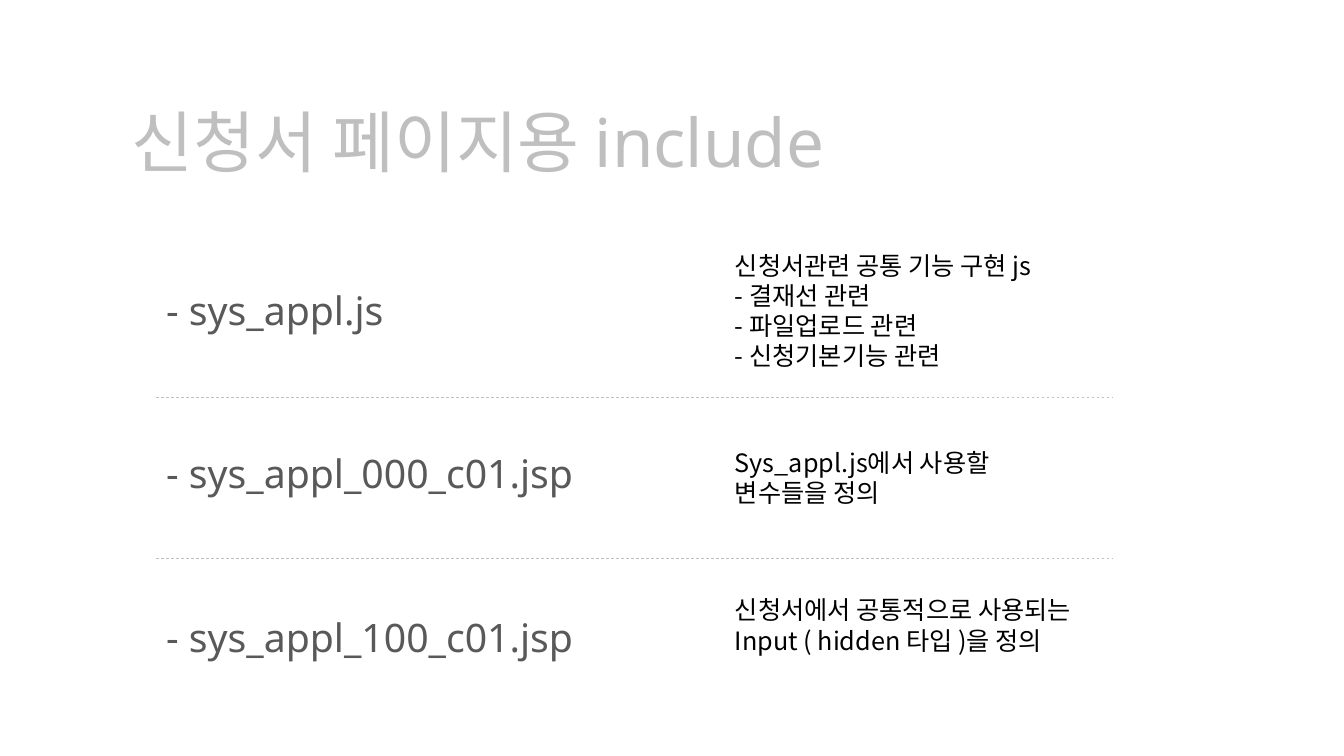
import pptx
import pptx.util
import pptx.dml.color
import pptx.enum.dml
import pptx.enum.shapes
import pptx.enum.text
import pptx.oxml
import pptx.oxml.ns
from dataclasses import dataclass
from pptx.util import Inches


@dataclass
class Theme:
    latin: str = "Noto Sans"
    korean: str = "Noto Sans CJK KR"
    title_color: str = "BFBFBF"
    file_color: str = "595959"
    description_color: str = "000000"
    divider_color: str = "BFBFBF"
    title_size: int = 48
    file_size: int = 28
    description_size: int = 18
    heading_spacing: float = 1.28
    description_spacing: float = 1.2


theme = Theme()
presentation = pptx.Presentation()
presentation.slide_width = Inches(13.33)
presentation.slide_height = Inches(7.5)
slide = presentation.slides.add_slide(presentation.slide_layouts[6])


def add_text(left, top, width, height, text, font_name, size, color, spacing):
    shape = slide.shapes.add_textbox(Inches(left), Inches(top), Inches(width), Inches(height))
    text_frame = shape.text_frame
    text_frame.word_wrap = False
    text_frame.auto_size = pptx.enum.text.MSO_AUTO_SIZE.SHAPE_TO_FIT_TEXT
    text_frame.text = text
    for paragraph in text_frame.paragraphs:
        paragraph.line_spacing = pptx.util.Pt(size * spacing)
        for run in paragraph.runs:
            run.font.name = font_name
            run.font.size = pptx.util.Pt(size)
            run.font.color.rgb = pptx.dml.color.RGBColor.from_string(color)
            east_asian = pptx.oxml.parse_xml(
                f'<a:ea {pptx.oxml.ns.nsdecls("a")} typeface="{theme.korean}"/>'
            )
            run.font._element.append(east_asian)


file_left, description_left = 1.55, 7.19
files = [
    (2.76, 2.45, "- sys_appl.js", 2.43, 3.6, 1.31,
     "신청서관련 공통 기능 구현 js \v- 결재선 관련\v- 파일업로드 관련\n- 신청기본기능 관련"),
    (4.38, 4.42, "- sys_appl_000_c01.jsp", 4.39, 2.83, 0.71,
     "Sys_appl.js에서 사용할 \n변수들을 정의"),
    (6, 4.42, "- sys_appl_100_c01.jsp", 5.85, 3.91, 0.71,
     "신청서에서 공통적으로 사용되는\nInput ( hidden 타입 )을 정의"),
]

add_text(1.21, 0.89, 7.32, 0.91, "신청서 페이지용 include ", theme.latin,
         theme.title_size, theme.title_color, theme.heading_spacing)

for file_top, file_width, file_name, top, width, height, description in files:
    add_text(file_left, file_top, file_width, 0.57, file_name, theme.latin,
             theme.file_size, theme.file_color, theme.heading_spacing)
    add_text(description_left, top, width, height, description, theme.korean,
             theme.description_size, theme.description_color, theme.description_spacing)

for divider_top in (3.94, 5.54):
    divider = slide.shapes.add_connector(
        pptx.enum.shapes.MSO_CONNECTOR.STRAIGHT,
        Inches(file_left), Inches(divider_top), Inches(11.03), Inches(divider_top),
    )
    divider.line.color.rgb = pptx.dml.color.RGBColor.from_string(theme.divider_color)
    divider.line.width = pptx.util.Pt(0.5)
    divider.line.dash_style = pptx.enum.dml.MSO_LINE.DASH
    divider._element.spPr.append(
        pptx.oxml.parse_xml(f'<a:effectLst {pptx.oxml.ns.nsdecls("a")}/>')
    )

presentation.save("out.pptx")
